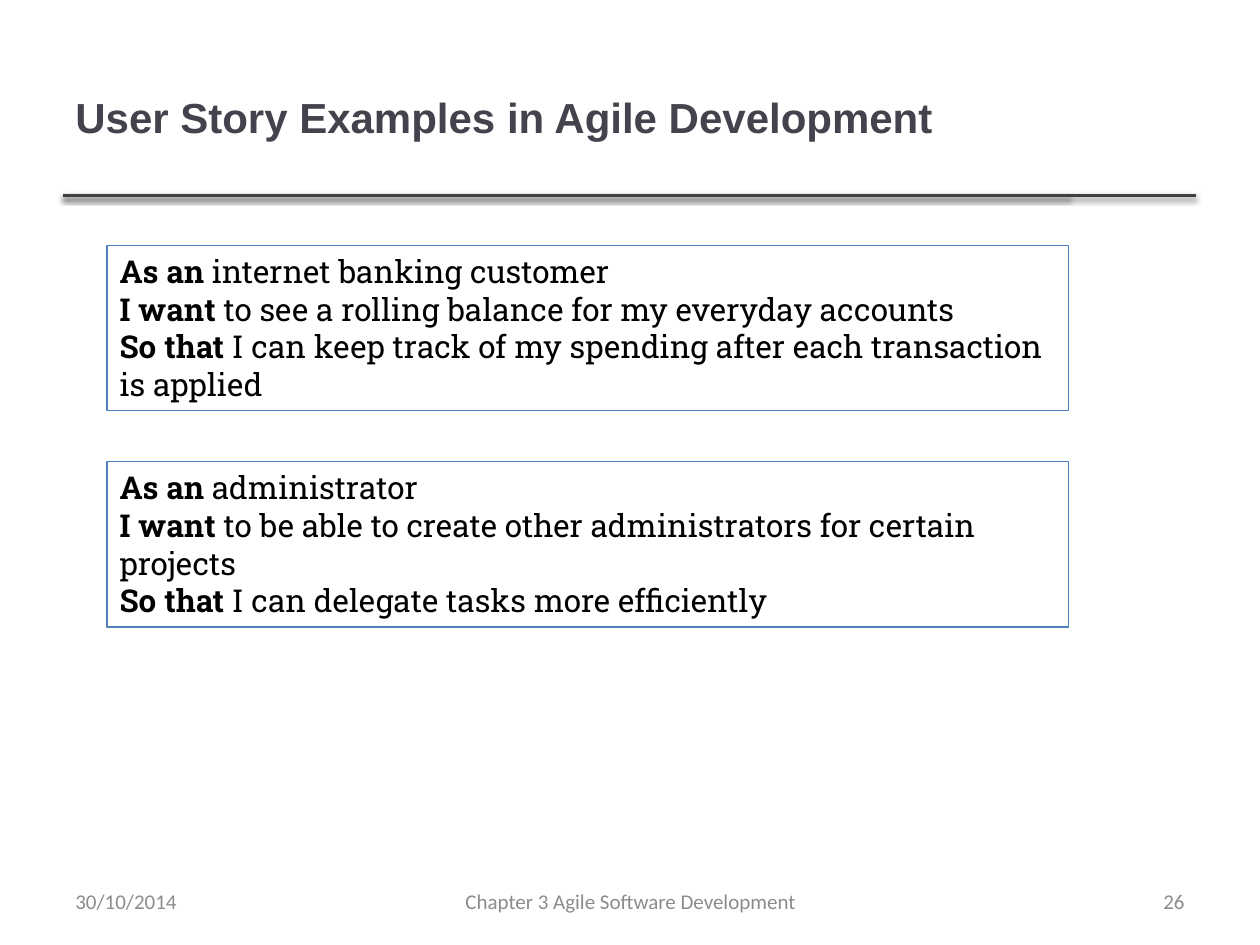
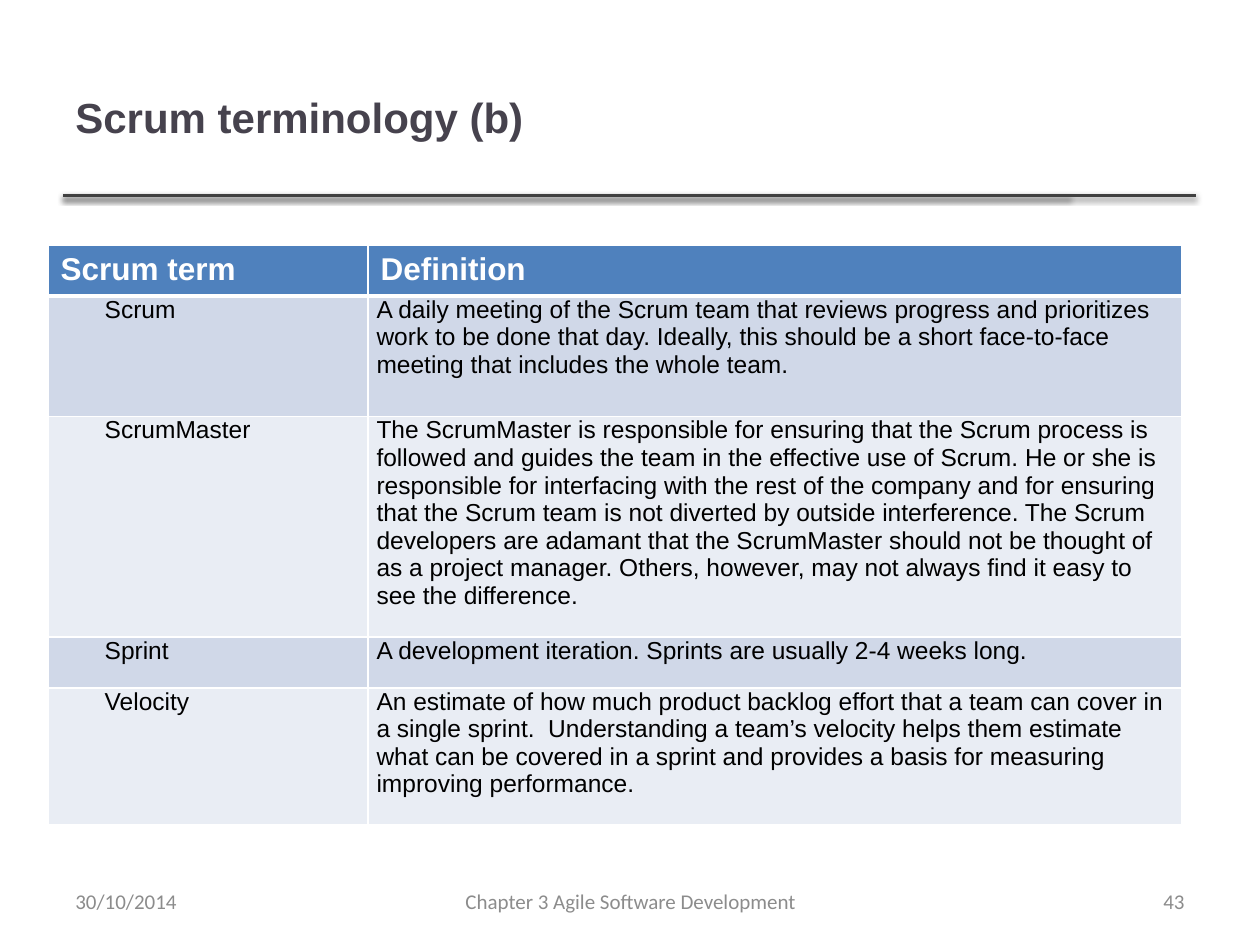
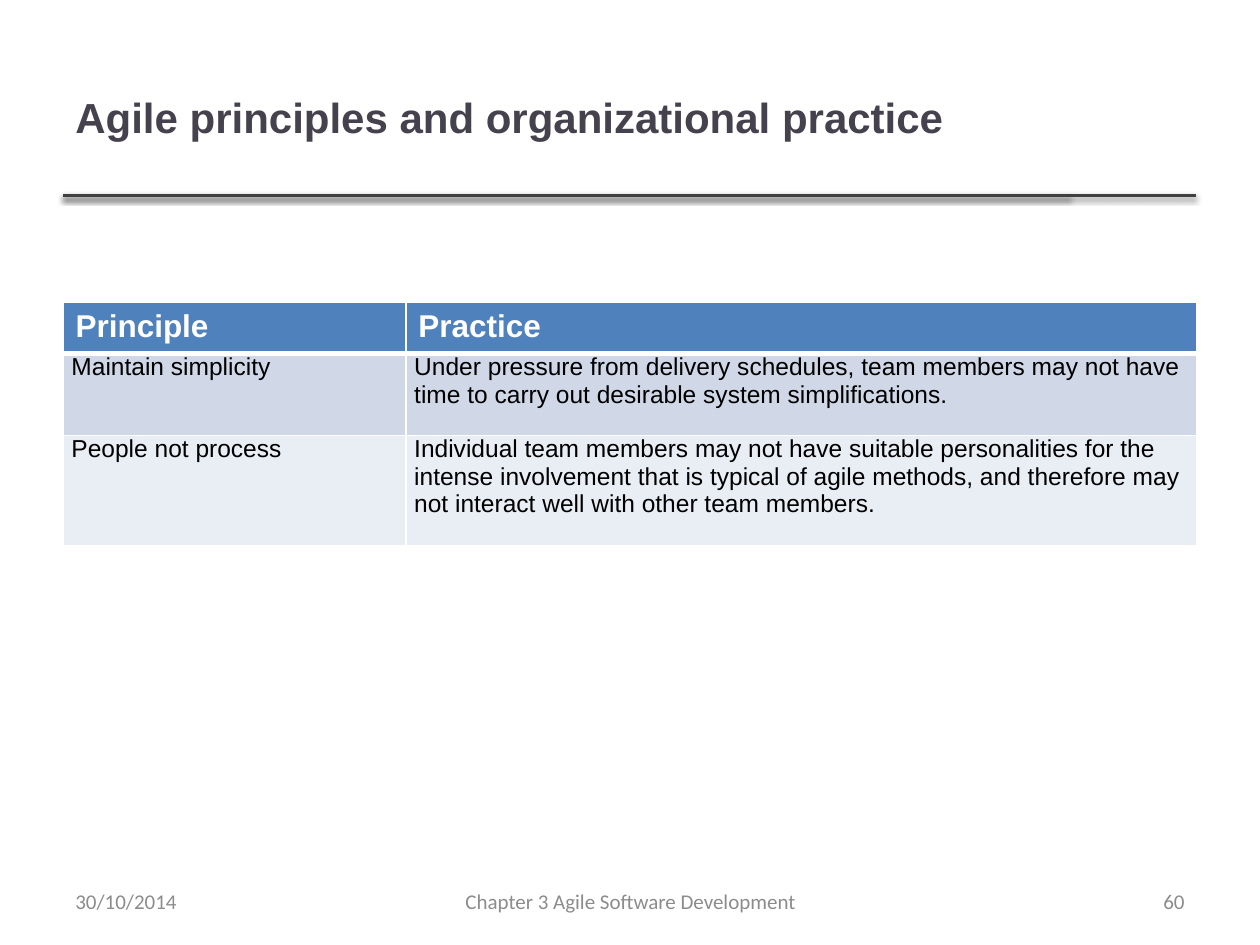
from lxml import etree
from pptx import Presentation
from pptx import util as u
from pptx.dml.color import RGBColor
from pptx.enum import shapes, text
from pptx.oxml import ns

COLOURS = {
    "title": "46424D", "rule": "404040", "footer": "8C8C8C", "body": "000000",
    "accent": "4F81BD", "white": "FFFFFF", "band_dark": "D0D8E8", "band_light": "E9EDF4",
}
TITLE = {"name": "Arial", "size": u.Pt(24), "bold": True}
FOOTER = {"name": "Calibri", "size": u.Pt(12), "bold": False}
STORY_LEAD = {"name": "Roboto Slab", "size": u.Pt(18), "bold": True}
STORY_REST = {**STORY_LEAD, "bold": False}
HEADER = {"name": "Arial", "size": u.Pt(18), "bold": True}
ENTRY = {"name": "Arial", "size": u.Pt(14), "bold": False}
CELL_MARGINS = {"margin_left": u.Cm(0.17), "margin_right": u.Cm(0.17),
                "margin_top": 0, "margin_bottom": 0}

LEFT, RIGHT, RULE_TOP = 1.27, 24.1, 3.94
FOOTER_TOP, FOOTER_HEIGHT = 17.65, 1.02
align = text.PP_ALIGN

STORIES = [
    [("As an ", "internet banking customer"),
     ("I want", " to see a rolling balance for my everyday accounts"),
     ("So that", " I can keep track of my spending after each transaction is applied")],
    [("As an ", "administrator"),
     ("I want", " to be able to create other administrators for certain projects"),
     ("So that", " I can delegate tasks more efficiently")],
]
SCRUM_TERMS = [
    ("Scrum term", "Definition"),
    ("Scrum", "A daily meeting of the Scrum team that reviews progress and prioritizes "
     "work to be done that day. Ideally, this should be a short face-to-face meeting "
     "that includes the whole team."),
    ("ScrumMaster", "The ScrumMaster is responsible for ensuring that the Scrum process is "
     "followed and guides the team in the effective use of Scrum. He or she is responsible "
     "for interfacing with the rest of the company and for ensuring that the Scrum team is "
     "not diverted by outside interference. The Scrum developers are adamant that the "
     "ScrumMaster should not be thought of as a project manager. Others, however, may not "
     "always find it easy to see the difference."),
    ("Sprint", "A development iteration. Sprints are usually 2-4 weeks long."),
    ("Velocity", "An estimate of how much product backlog effort that a team can cover in a "
     "single sprint.  Understanding a team’s velocity helps them estimate what can be "
     "covered in a sprint and provides a basis for measuring improving performance."),
]
PRINCIPLES = [
    ("Principle", "Practice"),
    ("Maintain simplicity", "Under pressure from delivery schedules, team members may not "
     "have time to carry out desirable system simplifications."),
    ("People not process", "Individual team members may not have suitable personalities for "
     "the intense involvement that is typical of agile methods, and therefore may not "
     "interact well with other team members."),
]
SLIDES = [
    {"title": "User Story Examples in Agile Development", "number": "26"},
    {"title": "Scrum terminology (b)", "number": "43", "rows": SCRUM_TERMS,
     "corner": (0.97, 4.95), "widths": (6.45, 16.41),
     "heights": (1.02, 2.43, 4.44, 1.03, 2.76), "indent": 0.97},
    {"title": "Agile principles and organizational practice", "number": "60",
     "rows": PRINCIPLES, "corner": (1.27, 6.1), "widths": (6.91, 15.95),
     "heights": (1.03, 1.65, 2.22), "indent": 0},
]


def add_run(paragraph, words, style, colour):
    """Append words to a paragraph in the given font style and colour."""
    run = paragraph.add_run()
    run.text = words
    for key, value in style.items():
        setattr(run.font, key, value)
    run.font.color.rgb = RGBColor.from_string(COLOURS[colour])


def add_node(parent, tag, **attributes):
    """Append an XML element such as a:ln and return it."""
    return etree.SubElement(parent, ns.qn(tag), attributes)


deck = Presentation()
deck.slide_width, deck.slide_height = u.Cm(25.4), u.Cm(19.05)

for content in SLIDES:
    slide = deck.slides.add_slide(deck.slide_layouts[6])

    # Two overlapping rules with a soft shadow
    for end in (21.56, RIGHT):
        rule = slide.shapes.add_connector(
            shapes.MSO_CONNECTOR.STRAIGHT, u.Cm(LEFT), u.Cm(RULE_TOP), u.Cm(end), u.Cm(RULE_TOP))
        rule.line.width = u.Pt(2)
        rule.line.color.rgb = RGBColor.from_string(COLOURS["rule"])
        effects = add_node(rule._element.spPr, "a:effectLst")
        shadow = add_node(effects, "a:outerShdw", blurRad="40000", dist="20000",
                          dir="5400000", rotWithShape="0")
        shade = add_node(shadow, "a:srgbClr", val=COLOURS["body"])
        add_node(shade, "a:alpha", val="38000")

    # Title and footers
    for words, place, style, colour, side in (
        (content["title"], (LEFT, 0.76, 20.27, 3.18), TITLE, "title", align.LEFT),
        ("Chapter 3 Agile Software Development", (8.69, FOOTER_TOP, 8.05, FOOTER_HEIGHT),
         FOOTER, "footer", align.CENTER),
        (content["number"], (18.21, FOOTER_TOP, 5.92, FOOTER_HEIGHT),
         FOOTER, "footer", align.RIGHT),
        ("30/10/2014", (LEFT, FOOTER_TOP, 5.92, FOOTER_HEIGHT), FOOTER, "footer", align.LEFT),
    ):
        frame = slide.shapes.add_textbox(*map(u.Cm, place)).text_frame
        frame.word_wrap = True
        frame.vertical_anchor = text.MSO_ANCHOR.MIDDLE
        frame.paragraphs[0].alignment = side
        add_run(frame.paragraphs[0], words, style, colour)

    if "rows" not in content:
        continue

    # Two-column table with a header and banded rows
    rows, widths, heights = content["rows"], content["widths"], content["heights"]
    grid = slide.shapes.add_table(
        len(rows), 2, *map(u.Cm, content["corner"]), u.Cm(sum(widths)), u.Cm(sum(heights))).table
    for column, width in zip(grid.columns, widths):
        column.width = u.Cm(width)
    for r, (entries, height) in enumerate(zip(rows, heights)):
        grid.rows[r].height = u.Cm(height)
        band = "accent" if r == 0 else ("band_light", "band_dark")[r % 2]
        for c, words in enumerate(entries):
            cell = grid.cell(r, c)
            paragraph = cell.text_frame.paragraphs[0]
            properties = cell._tc.get_or_add_tcPr()
            for edge in ("lnL", "lnR", "lnT", "lnB"):
                heavy = (r, edge) in ((0, "lnB"), (1, "lnT"))
                border = add_node(properties, "a:" + edge, w=str(u.Pt(3 if heavy else 1)))
                add_node(add_node(border, "a:solidFill"), "a:srgbClr", val=COLOURS["white"])
            cell.fill.solid()
            cell.fill.fore_color.rgb = RGBColor.from_string(COLOURS[band])
            if r == 0:
                add_run(paragraph, words, HEADER, "white")
                continue
            for key, value in CELL_MARGINS.items():
                setattr(cell, key, value)
            if c == 0 and content["indent"]:
                paragraph._p.get_or_add_pPr().set("indent", str(u.Cm(content["indent"])))
            add_run(paragraph, words, ENTRY, "body")

# User stories on the first slide
for i, story in enumerate(STORIES):
    card = deck.slides[0].shapes.add_shape(
        shapes.MSO_SHAPE.RECTANGLE, u.Cm(2.16), u.Cm(4.95 + 4.36 * i), u.Cm(19.38), u.Cm(3.33))
    card.shadow.inherit = False
    card.fill.background()
    card.line.width = u.Pt(0.75)
    card.line.color.rgb = RGBColor.from_string(COLOURS["accent"])
    frame = card.text_frame
    frame.word_wrap = True
    frame.vertical_anchor = text.MSO_ANCHOR.TOP
    for n, (lead, rest) in enumerate(story):
        paragraph = frame.add_paragraph() if n else frame.paragraphs[0]
        paragraph.alignment = align.LEFT
        add_run(paragraph, lead, STORY_LEAD, "body")
        add_run(paragraph, rest, STORY_REST, "body")

deck.save("out.pptx")
